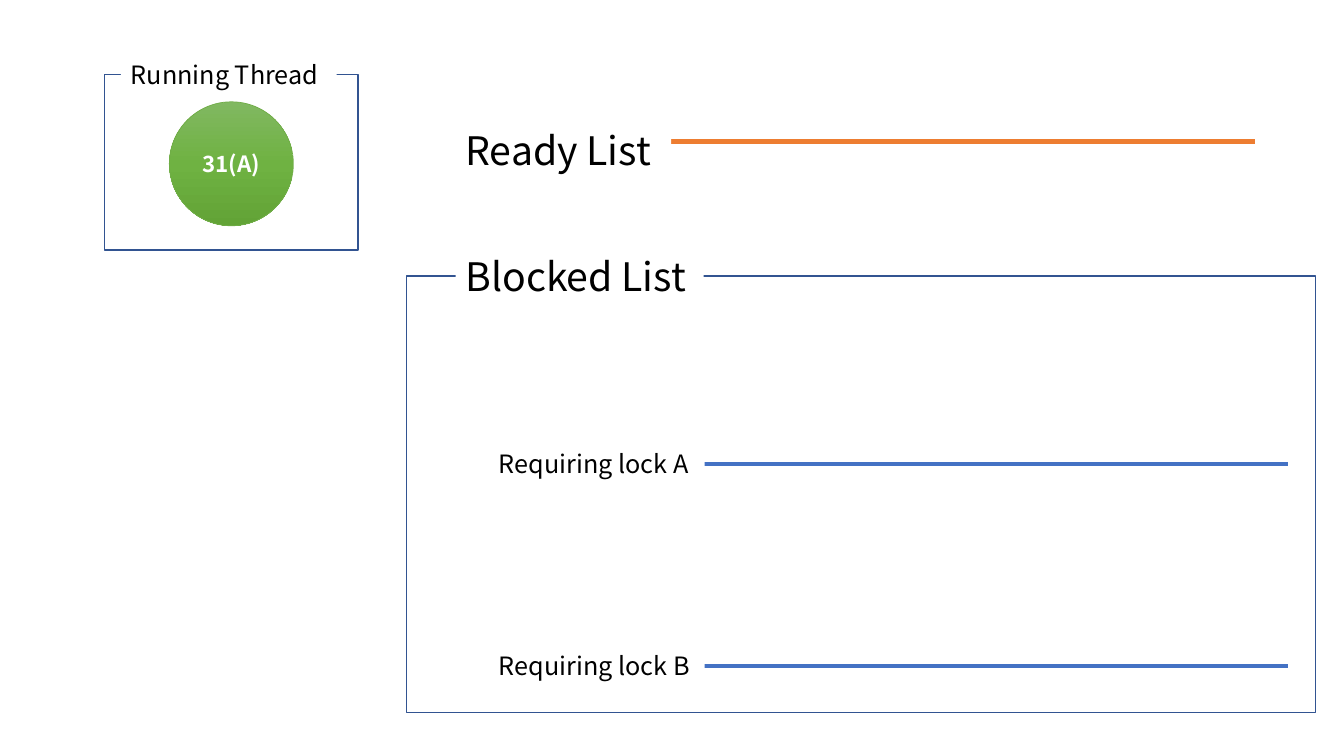
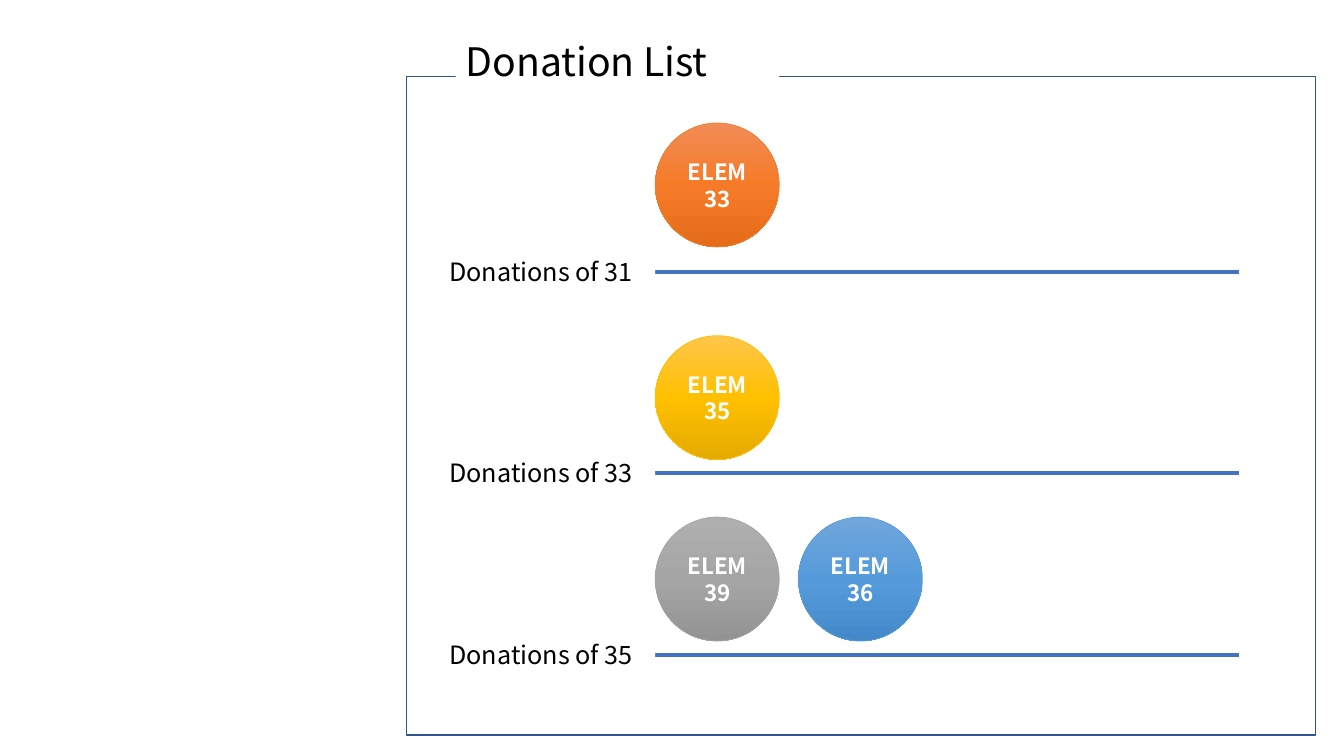
from copy import deepcopy

from lxml import etree
from pptx import Presentation
from pptx.dml.color import RGBColor
from pptx.enum.shapes import MSO_CONNECTOR, MSO_SHAPE
from pptx.enum.text import MSO_ANCHOR, MSO_AUTO_SIZE, PP_ALIGN
from pptx.oxml.ns import qn
from pptx.util import Inches, Pt

ELLIPSE, RECTANGLE = MSO_SHAPE.OVAL, MSO_SHAPE.RECTANGLE
STRAIGHT = MSO_CONNECTOR.STRAIGHT
TOP, MIDDLE = MSO_ANCHOR.TOP, MSO_ANCHOR.MIDDLE
LEFT, CENTER = PP_ALIGN.LEFT, PP_ALIGN.CENTER
GROW, FIXED = MSO_AUTO_SIZE.SHAPE_TO_FIT_TEXT, MSO_AUTO_SIZE.NONE

FONT = "Noto Sans CJK KR"
WHITE = RGBColor(0xFF, 0xFF, 0xFF)
BLACK = RGBColor(0x00, 0x00, 0x00)
FRAME_BLUE = RGBColor(0x32, 0x54, 0x91)
ROW_BLUE = RGBColor(0x44, 0x72, 0xC4)
READY_ORANGE = RGBColor(0xED, 0x7D, 0x31)

# Each ball palette: outline, then the top, middle and bottom of the gradient.
GREEN, ORANGE, YELLOW, GREY, BLUE = (
    [RGBColor.from_string(code) for code in codes.split()]
    for codes in (
        "70AD47 81B861 6FB242 62A336",
        "ED7D31 F18C57 F67B28 E56C19",
        "FFC000 FFC64B FFC000 E3AB00",
        "A5A5A5 AFAFAF A5A5A5 939393",
        "5B9BD5 71A6DB 559BDB 448ACA",
    )
)

# The slide is a grid of 100 columns and 100 rows.
SLIDE_W, SLIDE_H = Inches(13.33), Inches(7.5)
COLUMN, ROW = SLIDE_W / 100, SLIDE_H / 100

SMALL, LARGE = 18, 28
LABEL_W = 16.05
LABEL_H = {SMALL: 5.33, LARGE: 7.6}
LINE_INDENT, LINE_DROP, LINE_W = 6.97, 2.73, 52.5
BALL_W, BALL_H, BALL_PITCH = 9.23, 16.4, 10.65
LIST_LEFT, LIST_W, LIST_INDENT = 30.23, 67.65, 3.67


def place(left, top, width, height):
    """Turn columns and rows into slide lengths."""
    return (round(left * COLUMN), round(top * ROW),
            round(width * COLUMN), round(height * ROW))


def add_box(slide, preset, box):
    """Add a plain shape without fill, line or shadow."""
    shape = slide.shapes.add_shape(preset, *place(*box))
    shape.shadow.inherit = False
    shape.fill.background()
    shape.line.fill.background()
    return shape


def write(shape, text, size, color, bold, align, anchor, fit):
    """Set the text of a shape and format all its runs."""
    frame = shape.text_frame
    frame.text = text
    frame.word_wrap = True
    frame.auto_size = fit
    frame.vertical_anchor = anchor
    for paragraph in frame.paragraphs:
        paragraph.alignment = align
        for run in paragraph.runs:
            run.font.name = FONT
            run.font.size = Pt(size)
            run.font.bold = bold
            run.font.color.rgb = color


def add_label(slide, left, top, text, size, width=LABEL_W):
    """Add a black label on a white ground that hides lines below it."""
    label = add_box(slide, RECTANGLE, (left, top, width, LABEL_H[size]))
    label.fill.solid()
    label.fill.fore_color.rgb = WHITE
    write(label, text, size, BLACK, False, LEFT, TOP, GROW)


def add_frame(slide, box, heading, size, heading_box):
    """Outline a box; heading_box is indent, rise and width of its heading."""
    outline = add_box(slide, RECTANGLE, box)
    outline.line.color.rgb = FRAME_BLUE
    outline.line.width = Pt(1)
    indent, rise, width = heading_box
    add_label(slide, box[0] + indent, box[1] - rise, heading, size, width)


def add_ball(slide, left, top, text, palette):
    """Add a gradient ball for a thread or a list element."""
    outline, *shades = palette
    ball = add_box(slide, ELLIPSE, (left, top, BALL_W, BALL_H))
    ball.line.color.rgb = outline
    ball.line.width = Pt(0.5)
    ball.fill.gradient()
    ball.fill.gradient_angle = 270
    stop_list = ball.element.spPr.find(qn("a:gradFill")).find(qn("a:gsLst"))
    stop_list.insert(1, deepcopy(stop_list[0]))
    for stop, position, shade in zip(ball.fill.gradient_stops, (0, 0.5, 1), shades):
        stop.position = position
        stop.color.rgb = shade
    write(ball, text, 16, WHITE, True, CENTER, MIDDLE, FIXED)


def add_row(slide, left, top, text, size=SMALL, color=ROW_BLUE, balls=(), rise=0):
    """Add a labelled line with balls standing the given rise above its label."""
    start, line_top, length, _ = place(left + LINE_INDENT, top + LINE_DROP, LINE_W, 0)
    line = slide.shapes.add_connector(STRAIGHT, start, line_top, start + length, line_top)
    line.line.color.rgb = color
    line.line.width = Pt(3)
    etree.SubElement(line.element.spPr, qn("a:effectLst"))
    add_label(slide, left, top, text, size)
    for index, (name, palette) in enumerate(balls):
        add_ball(slide, left + LABEL_W + index * BALL_PITCH, top - rise, name, palette)


def add_running_thread(slide, box):
    """Frame the running thread and centre its ball."""
    left, top, width, _ = box
    add_frame(slide, box, "Running Thread", SMALL, (1.2, 2.67, LABEL_W))
    add_ball(slide, left + (width - BALL_W) / 2, top + 3.6, "31(A)", GREEN)


def add_blocked_list(slide, box):
    """Frame the blocked list with one row per lock."""
    left, top = box[:2]
    add_frame(slide, box, "Blocked List", LARGE, (LIST_INDENT, 3.87, 18.45))
    for index, lock in enumerate("AB"):
        add_row(slide, left + 6.15, top + 22.14 + index * 26.75, f"Requiring lock {lock}")


def add_donation_list(slide, box):
    """Frame the donation list with one row per receiving thread."""
    left, top = box[:2]
    add_frame(slide, box, "Donation List", LARGE, (LIST_INDENT, 5.87, 24.08))
    rows = (
        (31, 23.07, 16.93, [("ELEM33", ORANGE)]),
        (33, 49.74, 15.47, [("ELEM\n35", YELLOW)]),
        (35, 73.74, 15.47, [("ELEM\n39", GREY), ("ELEM\n36", BLUE)]),
    )
    for thread, drop, rise, balls in rows:
        add_row(slide, left + 2.47, top + drop, f"Donations of {thread}",
                balls=balls, rise=rise)


def build_threads_slide(slide):
    """Show the running thread, the ready list and the blocked list."""
    add_running_thread(slide, (7.8, 9.87, 18.83, 23.2))
    add_row(slide, LIST_LEFT + LIST_INDENT, 16, "Ready List", LARGE, READY_ORANGE)
    add_blocked_list(slide, (LIST_LEFT, 36.53, LIST_W, 57.73))


def build_donations_slide(slide):
    """Show the donation list."""
    add_donation_list(slide, (LIST_LEFT, 10.13, LIST_W, 87.07))


deck = Presentation()
deck.slide_width, deck.slide_height = SLIDE_W, SLIDE_H
for build_slide in (build_threads_slide, build_donations_slide):
    build_slide(deck.slides.add_slide(deck.slide_layouts[6]))
deck.save("out.pptx")
